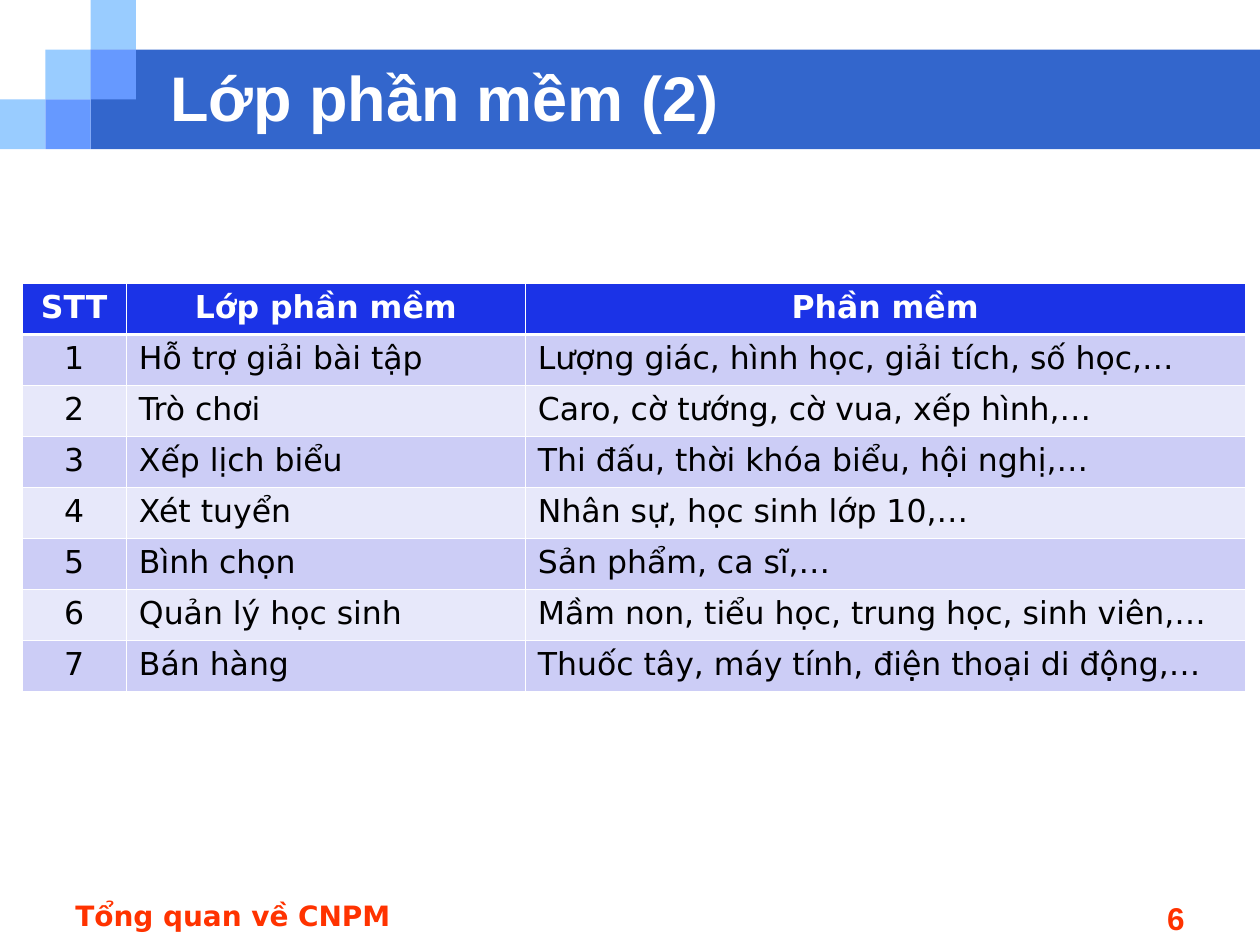
from dataclasses import dataclass

from lxml import etree
from pptx import Presentation
from pptx.dml.color import RGBColor
from pptx.enum.shapes import MSO_SHAPE
from pptx.enum.text import MSO_ANCHOR, PP_ALIGN
from pptx.oxml.ns import qn
from pptx.slide import Slide
from pptx.table import _Cell
from pptx.text.text import TextFrame
from pptx.util import Pt

RECTANGLE = MSO_SHAPE.RECTANGLE
TOP, MIDDLE = MSO_ANCHOR.TOP, MSO_ANCHOR.MIDDLE
LEFT, CENTER, RIGHT = PP_ALIGN.LEFT, PP_ALIGN.CENTER, PP_ALIGN.RIGHT

WHITE = RGBColor(0xFF, 0xFF, 0xFF)
BLACK = RGBColor(0x00, 0x00, 0x00)
BAND_BLUE = RGBColor(0x33, 0x66, 0xCC)
LIGHT_BLUE = RGBColor(0x99, 0xCC, 0xFF)
MEDIUM_BLUE = RGBColor(0x66, 0x99, 0xFF)
HEADER_BLUE = RGBColor(0x1B, 0x33, 0xE7)
ODD_ROW = RGBColor(0xCC, 0xCD, 0xF6)
EVEN_ROW = RGBColor(0xE7, 0xE8, 0xFA)
FOOTER_RED = RGBColor(0xFF, 0x33, 0x00)

HEADING_FONT = "Arial"
BODY_FONT = "DejaVu Sans"
THIN, THICK = 0.45, 1.47


@dataclass(frozen=True)
class Box:
    left: float
    top: float
    width: float
    height: float

    def lengths(self) -> tuple[Pt, Pt, Pt, Pt]:
        return Pt(self.left), Pt(self.top), Pt(self.width), Pt(self.height)


@dataclass(frozen=True)
class Block:
    box: Box
    color: RGBColor


@dataclass(frozen=True)
class TextStyle:
    font: str
    size: float
    color: RGBColor
    bold: bool = False
    alignment: PP_ALIGN = LEFT
    space_before: float = 0


@dataclass(frozen=True)
class Footer:
    text: str
    box: Box
    style: TextStyle


TILE_WIDTH, TILE_HEIGHT = 25.92, 28.4


def tile(column: int, row: int, color: RGBColor) -> Block:
    box = Box(column * TILE_WIDTH, row * TILE_HEIGHT, TILE_WIDTH, TILE_HEIGHT)
    return Block(box, color)


BLOCKS = [
    Block(Box(2 * TILE_WIDTH, TILE_HEIGHT, 720 - 2 * TILE_WIDTH, 2 * TILE_HEIGHT), BAND_BLUE),
    tile(0, 2, LIGHT_BLUE),
    tile(1, 1, LIGHT_BLUE),
    tile(2, 0, LIGHT_BLUE),
    tile(2, 1, MEDIUM_BLUE),
    tile(1, 2, MEDIUM_BLUE),
]

TITLE_BOX = Box(90, 36, 582, 38)
TITLE_STYLE = TextStyle(HEADING_FONT, 36, WHITE, True)

TABLE_LEFT, TABLE_TOP, ROW_HEIGHT = 12.5, 162, 29.16
COLUMN_WIDTHS = (59.75, 228, 411.25)
HEADER = ("STT", "Lớp phần mềm", "Phần mềm")
SOFTWARE_CLASSES = [
    ("Hỗ trợ giải bài tập", "Lượng giác, hình học, giải tích, số học,…"),
    ("Trò chơi", "Caro, cờ tướng, cờ vua, xếp hình,…"),
    ("Xếp lịch biểu", "Thi đấu, thời khóa biểu, hội nghị,…"),
    ("Xét tuyển", "Nhân sự, học sinh lớp 10,…"),
    ("Bình chọn", "Sản phẩm, ca sĩ,…"),
    ("Quản lý học sinh", "Mầm non, tiểu học, trung học, sinh viên,…"),
    ("Bán hàng", "Thuốc tây, máy tính, điện thoại di động,…"),
]
HEADER_STYLE = TextStyle(BODY_FONT, 18, WHITE, True, CENTER)
NUMBER_STYLE = TextStyle(BODY_FONT, 18, BLACK, False, CENTER)
CELL_STYLE = TextStyle(BODY_FONT, 18, BLACK)

FOOTERS = [
    Footer("6", Box(516, 510, 168, 25), TextStyle(HEADING_FONT, 18, FOOTER_RED, True, RIGHT, 4.5)),
    Footer("Tổng quan về CNPM", Box(36, 510, 228, 25),
           TextStyle(BODY_FONT, 16, FOOTER_RED, True, LEFT, 4)),
]


def write_text(frame: TextFrame, text: str, style: TextStyle) -> None:
    paragraph = frame.paragraphs[0]
    paragraph.alignment = style.alignment
    paragraph.space_before = Pt(style.space_before)
    run = paragraph.add_run()
    run.text = text
    run.font.name = style.font
    run.font.size = Pt(style.size)
    run.font.bold = style.bold
    run.font.color.rgb = style.color


def add_block(slide: Slide, block: Block) -> None:
    shape = slide.shapes.add_shape(RECTANGLE, *block.box.lengths())
    shape.shadow.inherit = False
    shape.fill.solid()
    shape.fill.fore_color.rgb = block.color
    shape.line.fill.background()


def place_title(slide: Slide, text: str) -> None:
    """Position the title and bring it in front of the band."""
    title = slide.shapes.title
    title.left, title.top, title.width, title.height = TITLE_BOX.lengths()
    title.text_frame.vertical_anchor = MIDDLE
    write_text(title.text_frame, text, TITLE_STYLE)
    slide.shapes.element.append(title.element)


def set_borders(cell: _Cell, top: float, bottom: float) -> None:
    properties = cell._tc.get_or_add_tcPr()
    widths = {"a:lnL": THIN, "a:lnR": THIN, "a:lnT": top, "a:lnB": bottom}
    for position, (tag, width) in enumerate(widths.items()):
        line = etree.Element(qn(tag), w=str(int(Pt(width))))
        fill = etree.SubElement(line, qn("a:solidFill"))
        etree.SubElement(fill, qn("a:srgbClr"), val=str(WHITE))
        properties.insert(position, line)


def add_software_table(slide: Slide) -> None:
    rows = [HEADER] + [(str(number), *texts) for number, texts in enumerate(SOFTWARE_CLASSES, 1)]
    box = Box(TABLE_LEFT, TABLE_TOP, sum(COLUMN_WIDTHS), ROW_HEIGHT * len(rows))
    table = slide.shapes.add_table(len(rows), len(HEADER), *box.lengths()).table
    for column, width in zip(table.columns, COLUMN_WIDTHS):
        column.width = Pt(width)
    for row_index, texts in enumerate(rows):
        table.rows[row_index].height = Pt(ROW_HEIGHT)
        is_header = row_index == 0
        row_color = HEADER_BLUE if is_header else ODD_ROW if row_index % 2 else EVEN_ROW
        for column_index, text in enumerate(texts):
            cell = table.cell(row_index, column_index)
            cell.fill.solid()
            cell.fill.fore_color.rgb = row_color
            body_style = CELL_STYLE if column_index else NUMBER_STYLE
            write_text(cell.text_frame, text, HEADER_STYLE if is_header else body_style)
            set_borders(cell, THICK if row_index == 1 else THIN, THICK if is_header else THIN)


def add_footer(slide: Slide, footer: Footer) -> None:
    frame = slide.shapes.add_textbox(*footer.box.lengths()).text_frame
    frame.word_wrap = True
    frame.vertical_anchor = TOP
    write_text(frame, footer.text, footer.style)


def main() -> None:
    presentation = Presentation()
    presentation.slide_width, presentation.slide_height = Pt(720), Pt(540)
    slide = presentation.slides.add_slide(presentation.slide_layouts[5])
    for block in BLOCKS:
        add_block(slide, block)
    place_title(slide, "Lớp phần mềm (2)")
    add_software_table(slide)
    for footer in FOOTERS:
        add_footer(slide, footer)
    presentation.save("out.pptx")


if __name__ == "__main__":
    main()
